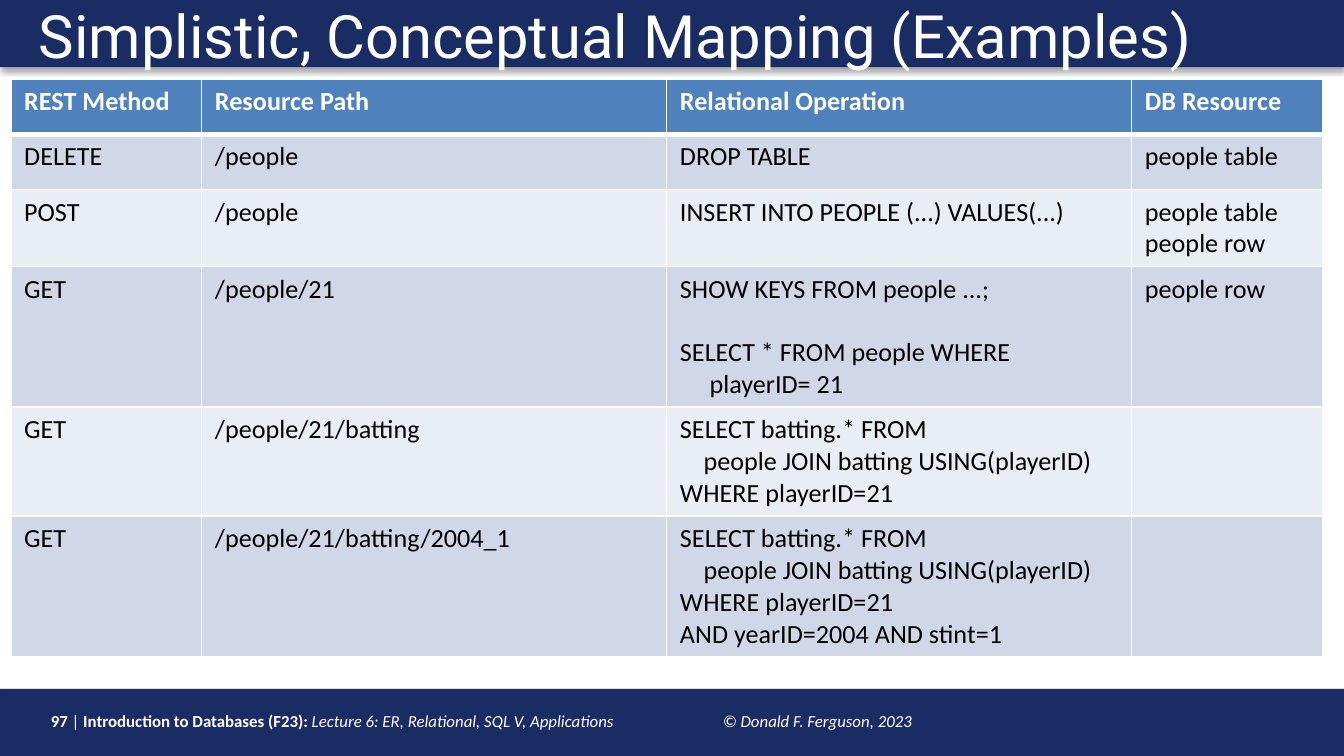
from lxml.etree import SubElement
from pptx import Presentation
from pptx.dml.color import RGBColor
from pptx.enum.shapes import MSO_SHAPE as Shape
from pptx.enum.text import MSO_ANCHOR as Anchor, MSO_AUTO_SIZE as AutoSize, PP_ALIGN as Align
from pptx.oxml.ns import qn
from pptx.util import Inches, Pt

SLIDE_WIDTH = 10
SLIDE_HEIGHT = SLIDE_WIDTH * 9 / 16
BAR_HEIGHT = 0.5

NAVY, WHITE, BLACK = "1A2C64", "FFFFFF", "000000"
HEADER_FILL, BANDS = "4F81BD", ("D0D8E8", "E9EDF4")
BODY_SIZE = 14

COLUMN_WIDTHS = (1.42, 3.46, 3.46, 1.42)
ROW_HEIGHT = 0.41
JOIN_QUERY = "SELECT batting.* FROM\v    people JOIN batting USING(playerID)\vWHERE playerID=21"
MAPPING = (
    ("REST Method", "Resource Path", "Relational Operation", "DB Resource"),
    ("DELETE", "/people", "DROP TABLE", "people table"),
    ("POST", "/people", "INSERT INTO PEOPLE (...) VALUES(...)", "people table\vpeople row"),
    ("GET", "/people/21",
     "SHOW KEYS FROM people ...;\nSELECT * FROM people WHERE\v     playerID= 21", "people row"),
    ("GET", "/people/21/batting", JOIN_QUERY, ""),
    ("GET", "/people/21/batting/2004_1", JOIN_QUERY + "\vAND yearID=2004 AND stint=1", ""),
)
FOOTER = (
    ("97 ", True, False),
    ("|", False, False),
    (" Introduction to Databases (F23): ", True, False),
    ("Lecture 6: ER, Relational, SQL V, Applications \t© Donald F. Ferguson, 2023", False, True),
)


def rgb(color):
    return RGBColor.from_string(color)


def style_run(run, size, color, face="Calibri", bold=False, italic=False):
    font = run.font
    font.name, font.size, font.bold, font.italic = face, Pt(size), bold, italic
    font.color.rgb = rgb(color)


def add_bar(slide, left, top, width, height):
    bar = slide.shapes.add_shape(
        Shape.RECTANGLE, Inches(left), Inches(top), Inches(width), Inches(height))
    bar.fill.solid()
    bar.fill.fore_color.rgb = rgb(NAVY)
    bar.line.fill.background()
    bar.shadow.inherit = False
    effects = bar._element.spPr.find(qn("a:effectLst"))
    shadow = SubElement(effects, qn("a:outerShdw"), blurRad=str(Pt(3.1)), dist=str(Pt(1.8)),
                        dir="5400000", rotWithShape="0")
    shade = SubElement(shadow, qn("a:srgbClr"), val=BLACK)
    SubElement(shade, qn("a:alpha"), val="35000")


def add_heading(slide, left, top, width, height):
    add_bar(slide, left, top, width, height)
    title = slide.shapes.title
    slide.shapes._spTree.append(title._element)
    title.left, title.top = Inches(left + 0.19), Inches(top)
    title.width, title.height = Inches(width - 0.52), Inches(height - 0.02)
    frame = title.text_frame
    frame.text = "Simplistic, Conceptual Mapping (Examples)"
    frame.auto_size = AutoSize.NONE
    frame.vertical_anchor = Anchor.TOP
    heading = frame.paragraphs[0]
    heading.alignment = Align.LEFT
    heading.line_spacing = 0.9
    style_run(heading.runs[0], 32, WHITE, "Roboto")


def add_footer(slide, left, top, width, height):
    add_bar(slide, left, top, width, height)
    credits = slide.shapes.add_textbox(
        Inches(left + 0.28), Inches(top + 0.11), Inches(width - 2.58), Inches(0.25))
    credits.text_frame.word_wrap = True
    line = credits.text_frame.paragraphs[0]
    tabs = SubElement(line._p.get_or_add_pPr(), qn("a:tabLst"))
    SubElement(tabs, qn("a:tab"), pos=str(Inches(5)), algn="l")
    for words, bold, italic in FOOTER:
        run = line.add_run()
        run.text = words
        style_run(run, 9, WHITE, bold=bold, italic=italic)


def set_borders(cell, top, bottom):
    properties = cell._tc.get_or_add_tcPr()
    for side, weight in (("L", 1), ("R", 1), ("T", top), ("B", bottom)):
        border = SubElement(properties, qn(f"a:ln{side}"), w=str(Pt(weight)))
        SubElement(SubElement(border, qn("a:solidFill")), qn("a:srgbClr"), val=WHITE)


def fill_cell(cell, words, row):
    is_header = row == 0
    set_borders(cell, top=3 if row == 1 else 1, bottom=3 if is_header else 1)
    cell.fill.solid()
    cell.fill.fore_color.rgb = rgb(HEADER_FILL if is_header else BANDS[(row - 1) % 2])
    cell.text_frame.text = words
    for index, paragraph in enumerate(cell.text_frame.paragraphs):
        if index:
            paragraph.space_before = Pt(17)
        for run in paragraph.runs:
            style_run(run, BODY_SIZE, WHITE if is_header else BLACK, bold=is_header)
        for line_break in paragraph._p.findall(qn("a:br")):
            SubElement(line_break, qn("a:rPr"), sz=str(BODY_SIZE * 100))


def add_mapping(slide, left, top, width, height):
    holder = slide.shapes.add_table(
        len(MAPPING), len(COLUMN_WIDTHS), Inches(left), Inches(top), Inches(width), Inches(height))
    mapping = holder.table
    for column, share in zip(mapping.columns, COLUMN_WIDTHS):
        column.width = Inches(share)
    for row, entries in enumerate(MAPPING):
        mapping.rows[row].height = Inches(ROW_HEIGHT)
        for column, words in enumerate(entries):
            fill_cell(mapping.cell(row, column), words, row)
    holder.width, holder.height = Inches(width), Inches(height)


def main():
    deck = Presentation()
    deck.slide_width, deck.slide_height = Inches(SLIDE_WIDTH), Inches(SLIDE_HEIGHT)
    slide = deck.slides.add_slide(deck.slide_layouts[5])
    add_footer(slide, 0, SLIDE_HEIGHT - BAR_HEIGHT, SLIDE_WIDTH, BAR_HEIGHT)
    add_heading(slide, 0, 0, SLIDE_WIDTH, BAR_HEIGHT)
    add_mapping(slide, 0.08, 0.59, 9.75, 4.24)
    deck.save("out.pptx")


if __name__ == "__main__":
    main()
